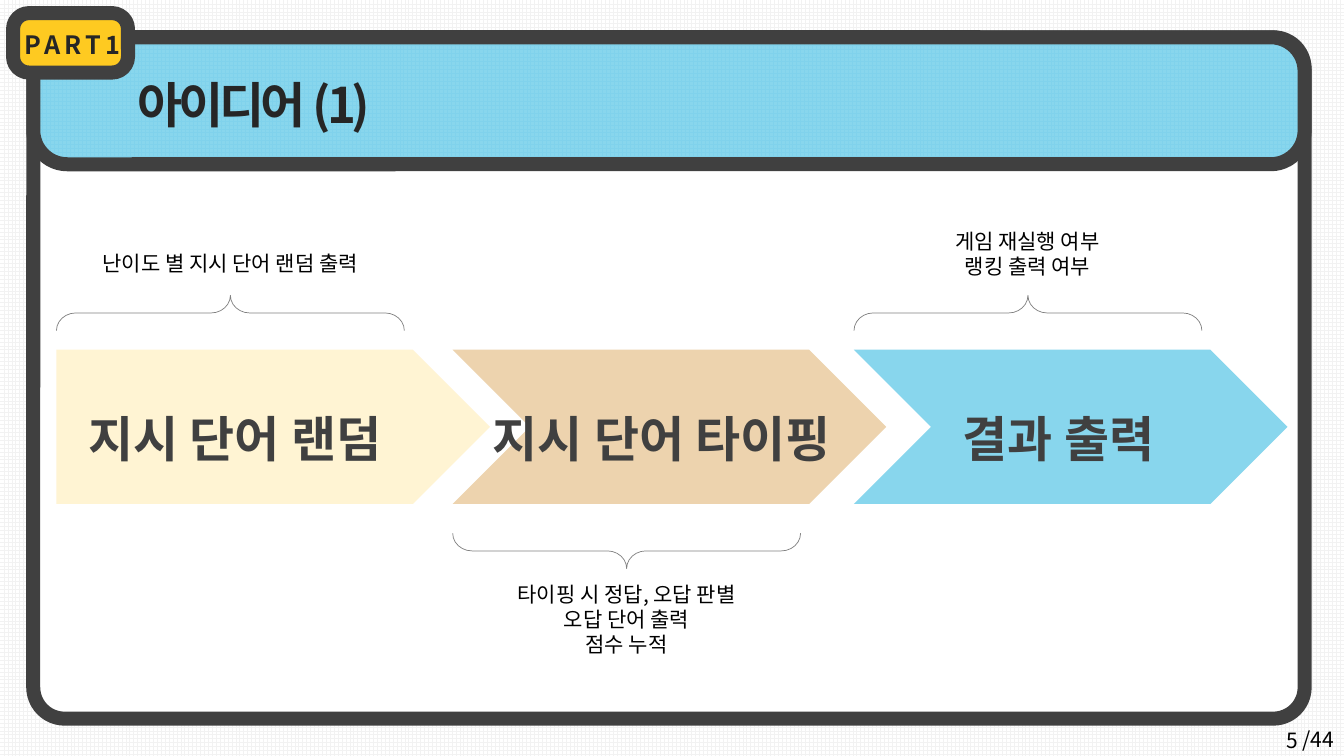
from lxml import etree
from pptx import Presentation
from pptx.dml.color import RGBColor
from pptx.enum.dml import MSO_PATTERN
from pptx.enum.shapes import MSO_SHAPE
from pptx.enum.text import MSO_ANCHOR, PP_ALIGN
from pptx.oxml.ns import qn
from pptx.util import Inches, Pt

ROUNDED = MSO_SHAPE.ROUNDED_RECTANGLE
CHEVRON = MSO_SHAPE.CHEVRON
PENTAGON = MSO_SHAPE.PENTAGON
BRACE = MSO_SHAPE.LEFT_BRACE
GRID = MSO_PATTERN.LARGE_GRID
LEFT, CENTER, RIGHT = PP_ALIGN.LEFT, PP_ALIGN.CENTER, PP_ALIGN.RIGHT
TOP, MIDDLE = MSO_ANCHOR.TOP, MSO_ANCHOR.MIDDLE
FONT = "Noto Sans CJK KR"
COLORS = {
    "white": "FFFFFF", "grid": "F2F2F2", "frame": "404040", "ink": "262626",
    "black": "000000", "brace": "808080", "blue": "88D6ED", "blue_grid": "80D2EC",
    "yellow": "FECA21", "tan": "EDD3AE", "cream": "FFF4D3",
}
RGB = {name: RGBColor.from_string(value) for name, value in COLORS.items()}
LINE_HEIGHTS = {15: 18, 18: 22, 35: 45}


def add_shape(shapes, kind, box, fill=None, line=None, width=0, adjustments=()):
    shape = shapes.add_shape(kind, *[Inches(value) for value in box])
    shape.shadow.inherit = False
    if fill:
        shape.fill.solid()
        shape.fill.fore_color.rgb = RGB[fill]
    else:
        shape.fill.background()
    if line:
        shape.line.color.rgb = RGB[line]
        shape.line.width = Pt(width)
    else:
        shape.line.fill.background()
    for index, value in enumerate(adjustments):
        shape.adjustments[index] = value
    return shape


def add_text(shapes, box, lines, size=15, color="black", bold=False, align=LEFT,
             spacing=0, wrap=True, anchor=TOP):
    frame = shapes.add_textbox(*[Inches(value) for value in box]).text_frame
    frame.word_wrap = wrap
    frame.vertical_anchor = anchor
    for index, line in enumerate(lines):
        paragraph = frame.add_paragraph() if index else frame.paragraphs[0]
        paragraph.alignment = align
        paragraph.line_spacing = Pt(LINE_HEIGHTS[size])
        run = paragraph.add_run()
        run.text = line
        run.font.color.rgb = RGB[color]
        for name, value in {"name": FONT, "size": Pt(size), "bold": bold}.items():
            setattr(run.font, name, value)
        properties = run._r.get_or_add_rPr()
        etree.SubElement(properties, qn("a:ea")).set("typeface", FONT)
        if spacing:
            properties.set("spc", str(spacing * 100))


presentation = Presentation()
presentation.slide_width = Inches(13.33)
presentation.slide_height = Inches(7.5)
slide = presentation.slides.add_slide(presentation.slide_layouts[6])
shapes = slide.shapes

add_text(shapes, (12.82, 7.16, 0.52, 0.35), ["/44"], wrap=False)
add_shape(shapes, ROUNDED, (0.33, 0.37, 12.61, 6.76), "white", "frame", 10, [0.046])
header = add_shape(shapes, ROUNDED, (0.33, 0.37, 12.61, 1.26), None, "frame", 10, [0.267])

for fill, fore, back in [(slide.background.fill, "grid", "white"),
                         (header.fill, "blue_grid", "blue")]:
    fill.patterned()
    fill.pattern = GRID
    fill.fore_color.rgb = RGB[fore]
    fill.back_color.rgb = RGB[back]

add_text(shapes, (1.27, 0.65, 5.08, 0.69), ["아이디어 (1)"], 35, "ink", True, spacing=-3)

badge = shapes.add_group_shape()
add_shape(badge.shapes, ROUNDED, (0.13, 0.13, 1.14, 0.59), "yellow", "frame", 10, [0.267])
add_text(badge.shapes, (0.13, 0.24, 1.18, 0.4), ["PART1"], 18, "ink", True, CENTER,
         spacing=3, wrap=False)

for kind, left, fill in [(CHEVRON, 8.47, "blue"), (CHEVRON, 4.49, "tan"),
                         (PENTAGON, 0.56, "cream")]:
    add_shape(shapes, kind, (left, 3.47, 4.3, 1.53), fill)

for left, top, rotation in [(6.04, 3.74, 270), (2.11, 1.38, 90), (10.02, 1.38, 90)]:
    brace = add_shape(shapes, BRACE, (left, top, 0.35, 3.45), None, "brace", 0.5, [0.545, 0.5])
    brace.rotation = rotation

for box, lines in [
    ((0.74, 2.44, 3.09, 0.35), ["난이도 별 지시 단어 랜덤 출력"]),
    ((9.28, 2.22, 1.82, 0.61), ["게임 재실행 여부", "랭킹 출력 여부"]),
    ((4.89, 5.72, 2.65, 0.86), ["타이핑 시 정답, 오답 판별", "오답 단어 출력", "점수 누적"]),
]:
    add_text(shapes, box, lines, align=CENTER, wrap=False)

for left, width, step in [(0.78, 3.49, "지시 단어 랜덤"), (4.79, 3.98, "지시 단어 타이핑"),
                          (9.45, 2.34, "결과 출력")]:
    add_text(shapes, (left, 3.96, width, 0.69), [step], 35, "frame", True)

add_text(shapes, (9.97, 7.14, 3, 0.4), ["5"], align=RIGHT, anchor=MIDDLE)

presentation.save("out.pptx")
